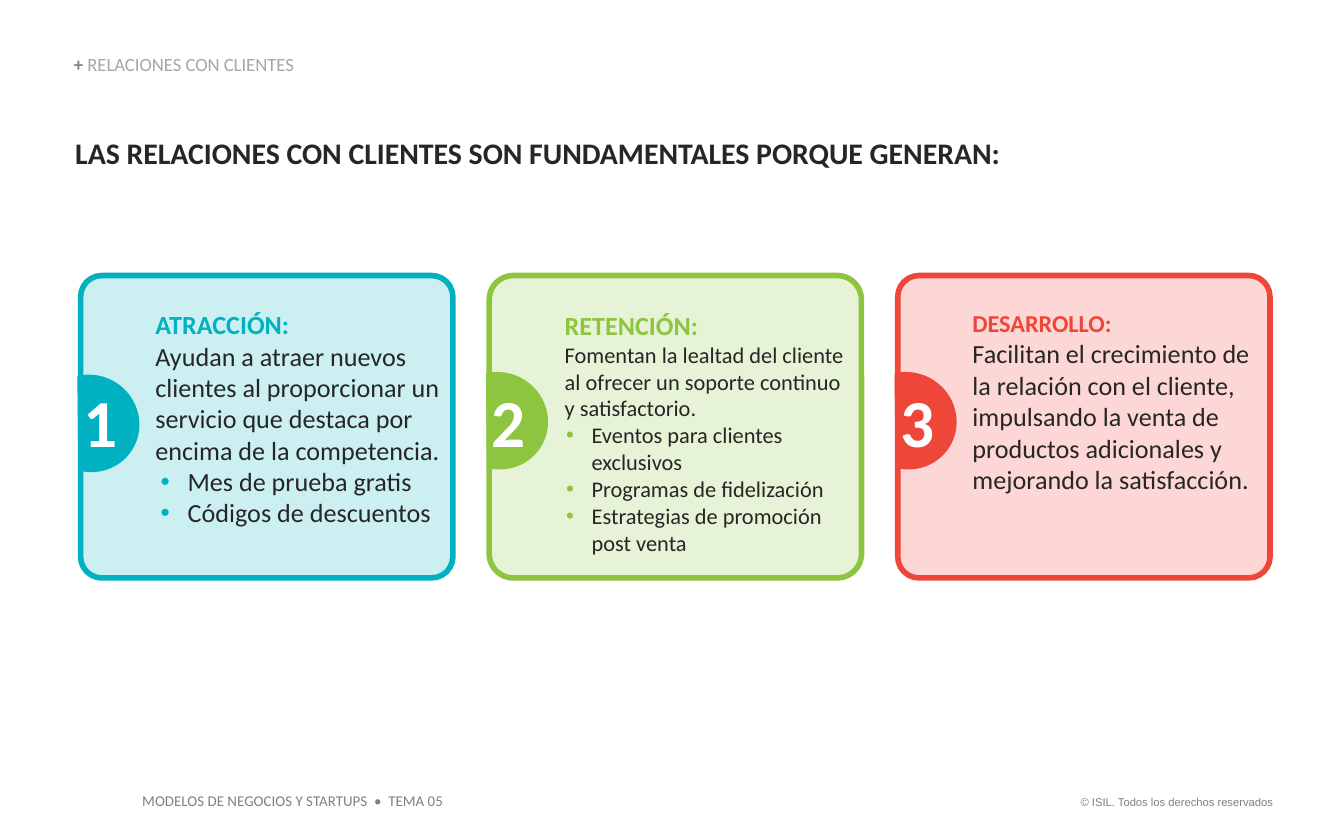
from lxml import etree
from pptx import Presentation
from pptx.dml.color import RGBColor
from pptx.enum.shapes import MSO_SHAPE as Shape
from pptx.enum.text import MSO_ANCHOR as Anchor, PP_ALIGN as Align
from pptx.oxml.ns import qn
from pptx.util import Inches, Pt

DARK, GRAY, PALE, WHITE = "262626", "808080", "A6A6A6", "FFFFFF"
TOP, WIDE, HIGH = 2.05, 2.77, 2.25
LEFT, STEP = 0.6, 3.04

# title, title size, body, body size, bullets, (margin, hang), color, fill, corner, tab top
CARDS = [
    ("ATRACCIÓN:", 14,
     "Ayudan a atraer nuevos clientes al proporcionar un servicio que "
     "destaca por encima de la competencia.", 14,
     ["Mes de prueba gratis", "Códigos de descuentos"],
     (0.24, 0.2), "00B1C2", "CCEFF2", 0.07, 0.74),
    ("RETENCIÓN:", 14,
     "Fomentan la lealtad del cliente al ofrecer un soporte continuo y "
     "satisfactorio.", 12,
     ["Eventos para clientes exclusivos", "Programas de fidelización",
      "Estrategias de promoción post venta"],
     (0.2, 0.19), "8EC540", "E6F3D6", 0.08, 0.72),
    ("DESARROLLO:", 13,
     "Facilitan el crecimiento de la relación con el cliente, impulsando la "
     "venta de productos adicionales y mejorando la satisfacción.", 14,
     [], (0, 0), "EE4639", "FCD7D5", 0.07, 0.72),
]


def rgb(code):
    return RGBColor.from_string(code)


def style(run, size, color, bold=False, face="Calibri"):
    font = run.font
    font.size, font.bold, font.name = Pt(size), bold, face
    font.color.rgb = rgb(color)


def inset(frame, left, top, right, bottom):
    frame.margin_left, frame.margin_top = Inches(left), Inches(top)
    frame.margin_right, frame.margin_bottom = Inches(right), Inches(bottom)


def label(slide, box, parts, wrap=True, pad=True):
    """Add a one-paragraph text box; each part is (text, *style values)."""
    frame = slide.shapes.add_textbox(*map(Inches, box)).text_frame
    frame.word_wrap = wrap
    if not pad:
        inset(frame, 0, 0, 0, 0)
    para = frame.paragraphs[0]
    for text, *look in parts:
        run = para.add_run()
        run.text = text
        style(run, *look)
    return frame


def solid(slide, kind, box, fill):
    shape = slide.shapes.add_shape(kind, *map(Inches, box))
    shape.shadow.inherit = False
    shape.fill.solid()
    shape.fill.fore_color.rgb = rgb(fill)
    shape.line.fill.background()
    return shape


def bullet(para, margin, hang, color):
    props = para._p.get_or_add_pPr()
    props.set("marL", str(Inches(margin)))
    props.set("indent", str(-Inches(hang)))
    tint = etree.SubElement(props, qn("a:buClr"))
    etree.SubElement(tint, qn("a:srgbClr")).set("val", color)
    etree.SubElement(props, qn("a:buFont")).set("typeface", "Arial")
    etree.SubElement(props, qn("a:buChar")).set("char", "•")


def write(frame, rows):
    """Fill a frame with left-aligned rows of (text, size, color, bold)."""
    for i, (text, *look) in enumerate(rows):
        para = frame.add_paragraph() if i else frame.paragraphs[0]
        para.text = text
        para.alignment = Align.LEFT
        style(para.runs[0], *look)


def badge(slide, left, top, rise, number, color):
    """Add the half-round tab on a card's left edge, with its number."""
    tab = solid(slide, Shape.CHORD, (left - 0.3, top + rise, 0.74, 0.72), color)
    tab.rotation = 210
    # The flat side runs from 45 to 254 degrees, upright once rotated
    tab.adjustments[0], tab.adjustments[1] = 27, 152.33
    label(slide, (left - 0.08, top + 0.73, 0.41, 0.71),
          [(number, 36, WHITE, True)])


def card(slide, box, number, data):
    title, head, body, size, items, dent, color, fill, corner, rise = data
    panel = solid(slide, Shape.ROUNDED_RECTANGLE, box, fill)
    panel.adjustments[0] = corner
    panel.line.color.rgb = rgb(color)
    panel.line.width = Pt(3)
    frame = panel.text_frame
    frame.word_wrap = True
    frame.vertical_anchor = Anchor.TOP
    inset(frame, 0.51, 0.2, 0.04, 0.05)
    write(frame, [(title, head, color, True)]
          + [(text, size, DARK) for text in [body, *items]])
    for para in frame.paragraphs[2:]:
        bullet(para, *dent, color)
    badge(slide, box[0], box[1], rise, str(number), color)


def header(slide):
    trail = label(slide, (0.55, 0.41, 4.25, 0.15),
                  [("+ ", 10, GRAY, True),
                   ("RELACIONES CON CLIENTES", 10, PALE)], pad=False)
    trail.vertical_anchor = Anchor.BOTTOM
    trail.paragraphs[0].line_spacing = 0.9
    label(slide, (0.56, 1, 8.93, 0.27),
          [("LAS RELACIONES CON CLIENTES SON FUNDAMENTALES PORQUE GENERAN:",
            16, DARK, True)], pad=False)


def footer(slide):
    rights = label(slide, (7.88, 5.87, 1.69, 0.2),
                   [("© ISIL. Todos los derechos reservados",
                     6, GRAY, False, "Arial")], wrap=False)
    rights.paragraphs[0].alignment = Align.RIGHT
    label(slide, (0.96, 5.84, 2.45, 0.24),
          [("MODELOS DE NEGOCIOS Y STARTUPS  •  TEMA 05", 8, GRAY)], wrap=False)


def main():
    deck = Presentation()
    deck.slide_width, deck.slide_height = Inches(10), Inches(6.25)
    slide = deck.slides.add_slide(deck.slide_layouts[6])
    footer(slide)
    header(slide)
    for i, data in enumerate(CARDS):
        card(slide, (LEFT + i * STEP, TOP, WIDE, HIGH), i + 1, data)
    deck.save("out.pptx")


if __name__ == "__main__":
    main()
